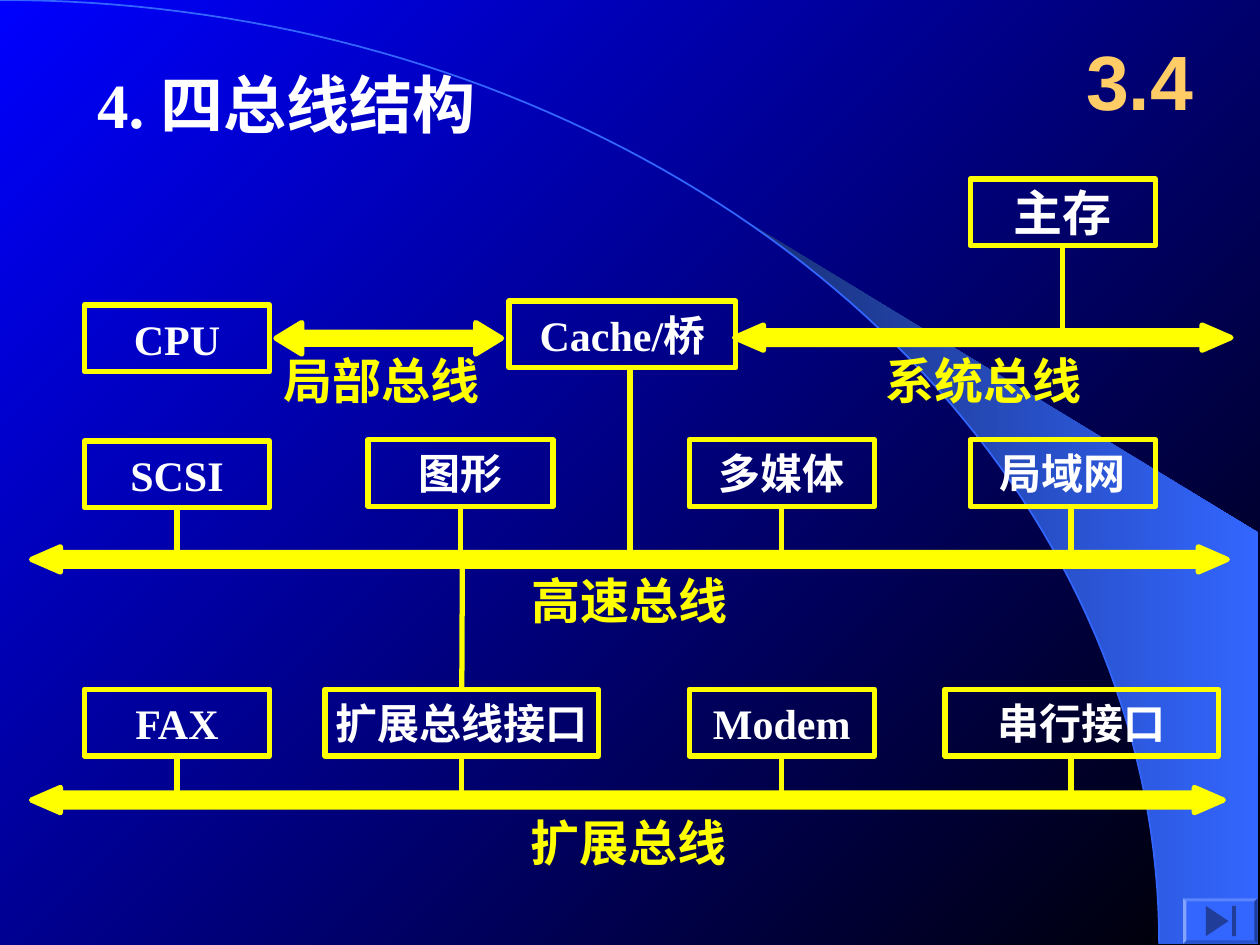
from math import asin, cos, pi, sin

from lxml.etree import SubElement
from pptx import Presentation
from pptx.dml.color import RGBColor
from pptx.enum.shapes import MSO_CONNECTOR as Connector, MSO_SHAPE as Shape
from pptx.enum.text import MSO_ANCHOR as Anchor, MSO_AUTO_SIZE as AutoSize, PP_ALIGN as Align
from pptx.oxml.ns import qn
from pptx.util import Inches, Pt

BLUE = RGBColor(0x00, 0x00, 0xFF)
BLACK = RGBColor(0x00, 0x00, 0x00)
NAVY = RGBColor(0x18, 0x2F, 0x76)
SKY = RGBColor(0x33, 0x66, 0xFF)
ICON_BLUE = RGBColor(0x1F, 0x3D, 0x99)
YELLOW = RGBColor(0xFF, 0xFF, 0x00)
WHITE = RGBColor(0xFF, 0xFF, 0xFF)
GOLD = RGBColor(0xFF, 0xCC, 0x66)

SERIF, SANS, CJK = "Times New Roman", "Arial", "Noto Sans CJK SC"
BOX_WIDTH, BOX_HEIGHT = 1.47, 0.53
ARC_WIDTH, ARC_HEIGHT = 9.2, 7.49
SYSTEM_Y, FAST_Y, EXTENSION_Y = 2.68, 4.44, 6.35

# text, left, top, width, size
BOXES = [
    ("主存", 7.7, 1.42, BOX_WIDTH, 28),
    ("CPU", 0.67, 2.42, BOX_WIDTH, 24),
    ("Cache/桥", 4.04, 2.39, 1.8, 24),
    ("SCSI", 0.67, 3.5, BOX_WIDTH, 24),
    ("图形", 2.92, 3.49, BOX_WIDTH, 24),
    ("多媒体", 5.47, 3.49, BOX_WIDTH, 24),
    ("局域网", 7.7, 3.49, BOX_WIDTH, 24),
    ("FAX", 0.67, 5.47, BOX_WIDTH, 24),
    ("扩展总线接口", 2.58, 5.47, 2.17, 24),
    ("Modem", 5.47, 5.47, BOX_WIDTH, 24),
    ("串行接口", 7.5, 5.47, 2.17, 24),
]
BUSES = [(5.83, 9.77, SYSTEM_Y), (0.25, 9.74, FAST_Y), (0.25, 9.71, EXTENSION_Y)]
BUS_LABELS = [
    ("系统总线", 7.03, 2.78),
    ("局部总线", 2.25, 2.78),
    ("高速总线", 4.22, 4.53),
    ("扩展总线", 4.21, 6.45),
]
# boxes joined to a bus at the middle of their lower side
DROPS = {
    "主存": SYSTEM_Y,
    "SCSI": FAST_Y, "图形": FAST_Y, "多媒体": FAST_Y,
    "FAX": EXTENSION_Y, "扩展总线接口": EXTENSION_Y, "Modem": EXTENSION_Y,
}
# x, top, bottom of the lines that leave a box away from its middle
OFFSET_LINES = [(5, 2.92, FAST_Y), (8.5, 4.02, FAST_Y), (8.5, 6, EXTENSION_Y)]


def write(shape, text, size=24, color=WHITE, font=SERIF, align=Align.LEFT,
          anchor=Anchor.MIDDLE, inset=(0, 0), wrap=False):
    frame = shape.text_frame
    frame.auto_size = AutoSize.NONE
    frame.word_wrap = wrap
    frame.vertical_anchor = anchor
    frame.margin_left = frame.margin_right = Inches(inset[0])
    frame.margin_top = frame.margin_bottom = Inches(inset[1])
    para = frame.paragraphs[0]
    para.alignment = align
    span = para.add_run()
    span.text = text
    span.font.size = Pt(size)
    span.font.bold = True
    span.font.color.rgb = color
    span.font.name = font
    SubElement(span._r.get_or_add_rPr(), qn("a:ea"), typeface=CJK)


def place(shape, left, top, width, height):
    shape.left, shape.top = Inches(left), Inches(top)
    shape.width, shape.height = Inches(width), Inches(height)


def style(shape, fill=None, line=None, width=3):
    shape.shadow.inherit = False
    if fill is None:
        shape.fill.background()
    else:
        shape.fill.solid()
        shape.fill.fore_color.rgb = fill
    if line is None:
        shape.line.fill.background()
    else:
        shape.line.color.rgb = line
        shape.line.width = Pt(width)


def set_gradient(fill, start, end, angle):
    fill.gradient()
    fill.gradient_angle = angle
    for stop, color in zip(fill.gradient_stops, (start, end)):
        stop.color.rgb = color


def add_preset(slide, kind, left, top, width, height, **look):
    shape = slide.shapes.add_shape(
        kind, Inches(left), Inches(top), Inches(width), Inches(height))
    style(shape, **look)
    return shape


def add_outline(slide, points, close=True, **look):
    corners = [(Inches(x), Inches(y)) for x, y in points]
    builder = slide.shapes.build_freeform(*corners[0])
    builder.add_line_segments(corners[1:], close=close)
    shape = builder.convert_to_shape()
    style(shape, **look)
    return shape


def add_text(slide, text, left, top, width, height, **look):
    box = slide.shapes.add_textbox(
        Inches(left), Inches(top), Inches(width), Inches(height))
    write(box, text, **look)


def add_box(slide, text, left, top, width, size):
    box = add_preset(slide, Shape.RECTANGLE, left, top, width, BOX_HEIGHT, line=YELLOW)
    write(box, text, size=size, align=Align.CENTER)
    return box


def add_line(slide, x, top, bottom, upper=None, lower=None):
    """Draw a vertical line, joined to the boxes above and below if given."""
    line = slide.shapes.add_connector(
        Connector.STRAIGHT, Inches(x), Inches(top), Inches(x), Inches(bottom))
    if upper is not None:
        line.begin_connect(upper, 2)
    if lower is not None:
        line.end_connect(lower, 0)
    line.line.color.rgb = YELLOW
    line.line.width = Pt(3)
    SubElement(line._element.spPr, qn("a:effectLst"))


def add_bus(slide, left, right, y, head=0.23, spread=0.1, shaft=0.055):
    upper = [(left, y), (left + head, y - spread), (left + head, y - shaft),
             (right - head, y - shaft), (right - head, y - spread), (right, y)]
    lower = [(x, 2 * y - level) for x, level in reversed(upper[1:-1])]
    bus = add_outline(slide, upper + lower, fill=YELLOW, line=YELLOW)
    SubElement(bus.line._get_or_add_ln(), qn("a:round"))


def arc_points(start=0, steps=80):
    """Points on the quarter ellipse, from the angle start to its lower end."""
    angles = [start + (pi / 2 - start) * step / steps for step in range(steps + 1)]
    return [(ARC_WIDTH * sin(a), ARC_HEIGHT * (1 - cos(a))) for a in angles]


def add_backdrop(slide):
    set_gradient(slide.background.fill, BLUE, BLACK, 315)
    edge = arc_points(asin(5.89 / ARC_WIDTH))
    beam = add_outline(slide, edge + [(9.99, 7.49), (9.99, 4.23)], fill=SKY)
    set_gradient(beam.fill, NAVY, SKY, 0)
    add_outline(slide, arc_points(), close=False, line=SKY, width=1)


def add_end_button(slide):
    button = add_preset(slide, Shape.BEVEL, 9.39, 7.13, 0.59, 0.36, fill=SKY)
    button.adjustments[0] = 0.07
    add_outline(slide, [(9.57, 7.19), (9.75, 7.31), (9.57, 7.43)], fill=ICON_BLUE)
    add_preset(slide, Shape.RECTANGLE, 9.78, 7.19, 0.03, 0.24, fill=ICON_BLUE)


def main():
    deck = Presentation()
    deck.slide_width, deck.slide_height = Inches(10), Inches(7.5)
    slide = deck.slides.add_slide(deck.slide_layouts[5])
    add_backdrop(slide)

    title = slide.shapes.title
    place(title, 0.67, 0.47, 3.32, 0.7)
    write(title, "4. 四总线结构", size=36, inset=(0.1, 0.05))
    add_text(slide, "3.4", 8.42, 0.17, 1.25, 0.92, size=44, color=GOLD, font=SANS,
             align=Align.CENTER, inset=(0.1, 0.05), wrap=True)

    boxes = {}
    for text, left, top, width, size in BOXES:
        boxes[text] = add_box(slide, text, left, top, width, size)
        if text in DROPS:
            add_line(slide, left + width / 2, top + BOX_HEIGHT, DROPS[text],
                     upper=boxes[text])
    add_line(slide, 3.67, FAST_Y, 5.47, lower=boxes["扩展总线接口"])
    for x, top, bottom in OFFSET_LINES:
        add_line(slide, x, top, bottom)

    for left, right, y in BUSES:
        add_bus(slide, left, right, y)
    local_bus = add_preset(slide, Shape.LEFT_RIGHT_ARROW, 2.19, 2.56, 1.79, 0.25,
                           fill=YELLOW, line=YELLOW)
    local_bus.adjustments[0], local_bus.adjustments[1] = 0.375, 0.82
    for text, left, top in BUS_LABELS:
        add_text(slide, text, left, top, 1.55, 0.47, size=28, color=YELLOW,
                 font=CJK, anchor=Anchor.TOP)
    add_end_button(slide)
    deck.save("out.pptx")


if __name__ == "__main__":
    main()
